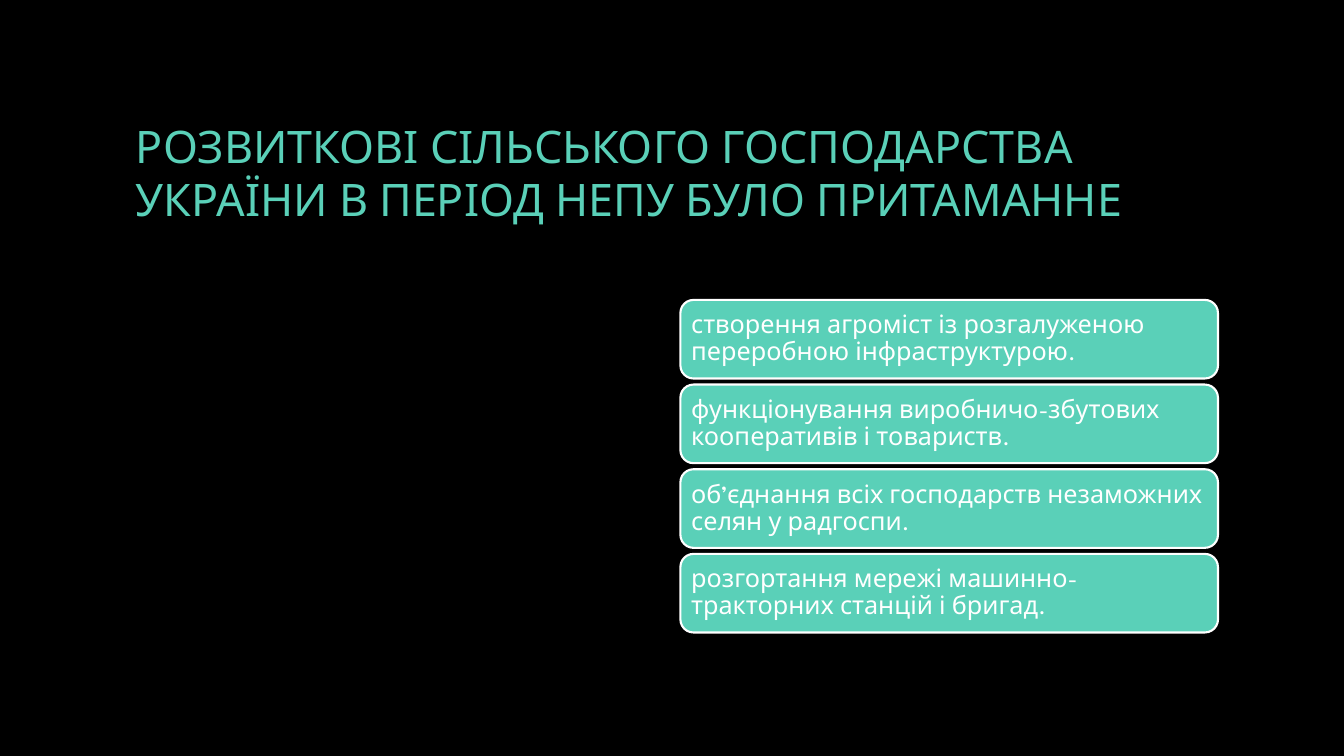
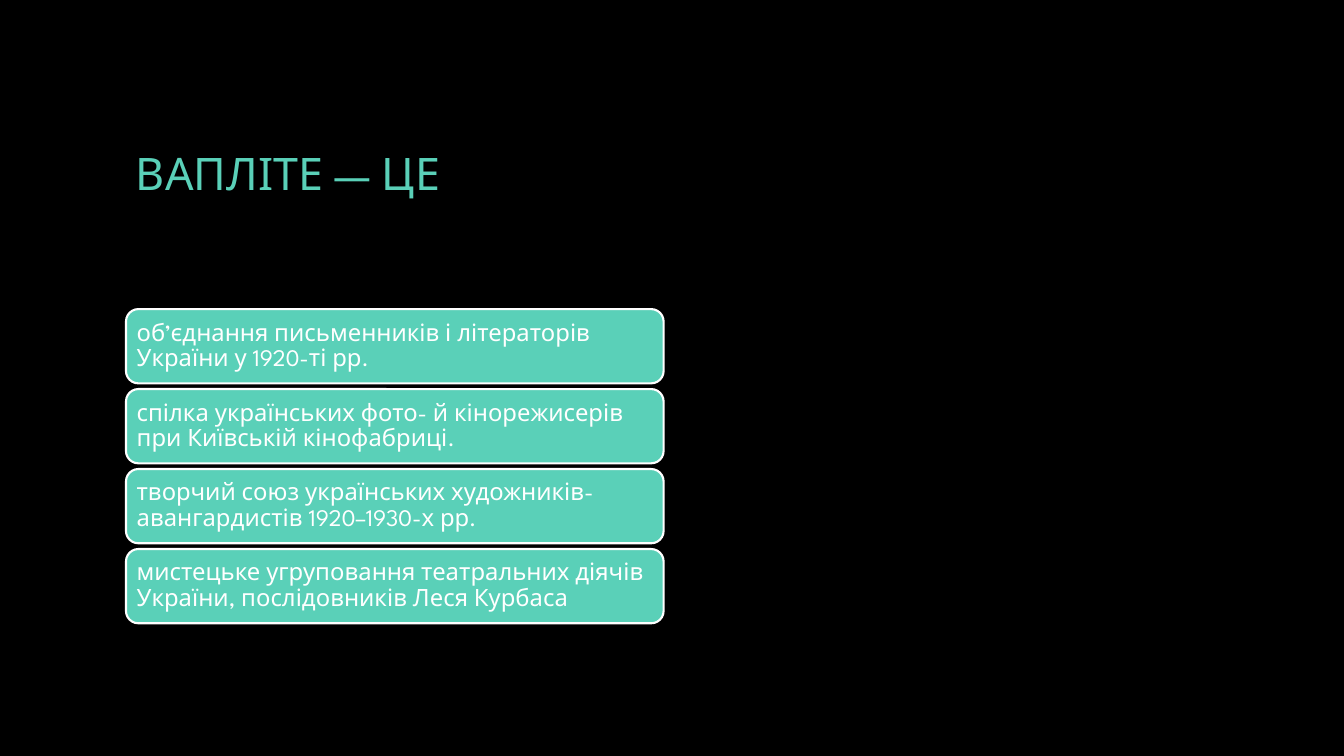
from pptx import Presentation
from pptx.dml.color import RGBColor
from pptx.enum.shapes import MSO_SHAPE
from pptx.enum.text import MSO_ANCHOR, PP_ALIGN
from pptx.util import Pt

ROUNDED = MSO_SHAPE.ROUNDED_RECTANGLE
MIDDLE = MSO_ANCHOR.MIDDLE
LEFT = PP_ALIGN.LEFT

FONT = "League Spartan"
BLACK, TEAL, WHITE = "000000", "5AD0B8", "FFFFFF"
TITLE_BOX = (90, 48, 780, 150)
LEFT_COLUMN = (90, 198, 384, 270)
RIGHT_COLUMN = (486, 198, 384, 270)
CARD_RATIO, GAP_RATIO = 3.12, 0.24

SLIDES = [
    (
        "РОЗВИТКОВІ СІЛЬСЬКОГО ГОСПОДАРСТВА УКРАЇНИ В ПЕРІОД НЕПУ БУЛО ПРИТАМАННЕ",
        RIGHT_COLUMN,
        18,
        [
            "створення агроміст із розгалуженою переробною інфраструктурою.",
            "функціонування виробничо-збутових кооперативів і товариств.",
            "об’єднання всіх господарств незаможних селян у радгоспи.",
            "розгортання мережі машинно-тракторних станцій і бригад.",
        ],
    ),
    (
        "ВАПЛІТЕ — ЦЕ",
        LEFT_COLUMN,
        17,
        [
            "об’єднання письменників і літераторів України у 1920-ті рр.",
            "спілка українських фото- й кінорежисерів при Київській кінофабриці.",
            "творчий союз українських художників-авангардистів 1920–1930-х рр.",
            "мистецьке угруповання театральних діячів України, послідовників Леся Курбаса",
        ],
    ),
]


def rgb(value):
    """Return the colour for a hex string."""
    return RGBColor.from_string(value)


def write(sp, text, size, color, spacing):
    """Put one left-aligned, vertically centred paragraph in a shape."""
    tf = sp.text_frame
    tf.word_wrap = True
    tf.vertical_anchor = MIDDLE
    tf.text = text
    p = tf.paragraphs[0]
    p.alignment = LEFT
    p.line_spacing = spacing
    font = p.runs[0].font
    font.name = FONT
    font.size = Pt(size)
    font.color.rgb = rgb(color)


def add_title(s, box, text):
    """Add the slide title in its box."""
    sp = s.shapes.add_textbox(*map(Pt, box))
    write(sp, text, 32, TEAL, 1.0)


def add_card(s, box, text, size):
    """Add one rounded answer card."""
    sp = s.shapes.add_shape(ROUNDED, *map(Pt, box))
    sp.shadow.inherit = False
    sp.fill.solid()
    sp.fill.fore_color.rgb = rgb(TEAL)
    sp.line.color.rgb = rgb(WHITE)
    sp.line.width = Pt(1.5)
    tf = sp.text_frame
    tf.margin_left = tf.margin_right = tf.margin_top = tf.margin_bottom = Pt(5)
    write(sp, text, size, WHITE, 0.9)


def add_cards(s, box, answers, size):
    """Stack answer cards, scaled to the text size, in the middle of a column."""
    x, y, w, h = box
    card, gap = size * CARD_RATIO, size * GAP_RATIO
    stack = len(answers) * (card + gap) - gap
    top = y + (h - stack) / 2
    for i, answer in enumerate(answers):
        add_card(s, (x, top + i * (card + gap), w, card), answer, size)


def add_question(prs, title, column, size, answers):
    """Add a black slide with a question and its answers."""
    s = prs.slides.add_slide(prs.slide_layouts[6])
    s.background.fill.solid()
    s.background.fill.fore_color.rgb = rgb(BLACK)
    add_title(s, TITLE_BOX, title)
    add_cards(s, column, answers, size)


def main():
    """Build and save the presentation."""
    prs = Presentation()
    prs.slide_width, prs.slide_height = Pt(960), Pt(540)
    for question in SLIDES:
        add_question(prs, *question)
    prs.save("out.pptx")


if __name__ == "__main__":
    main()
